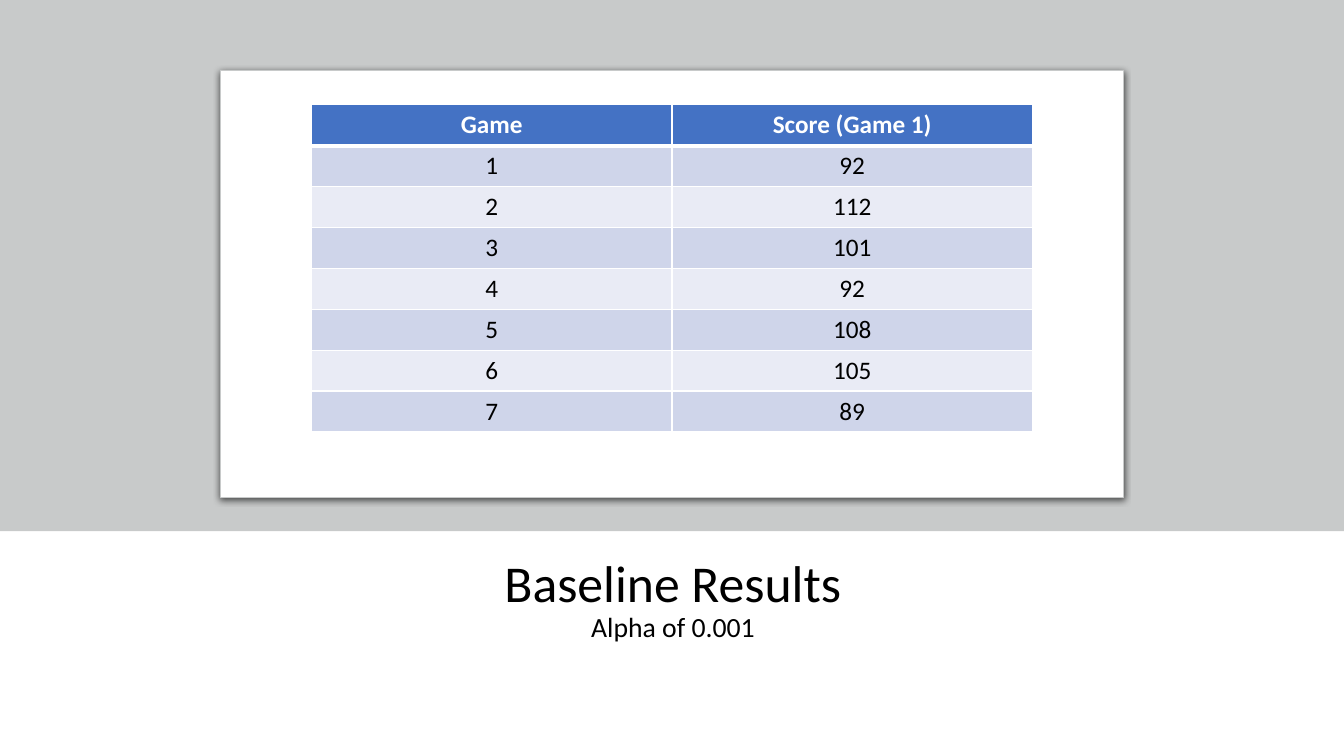
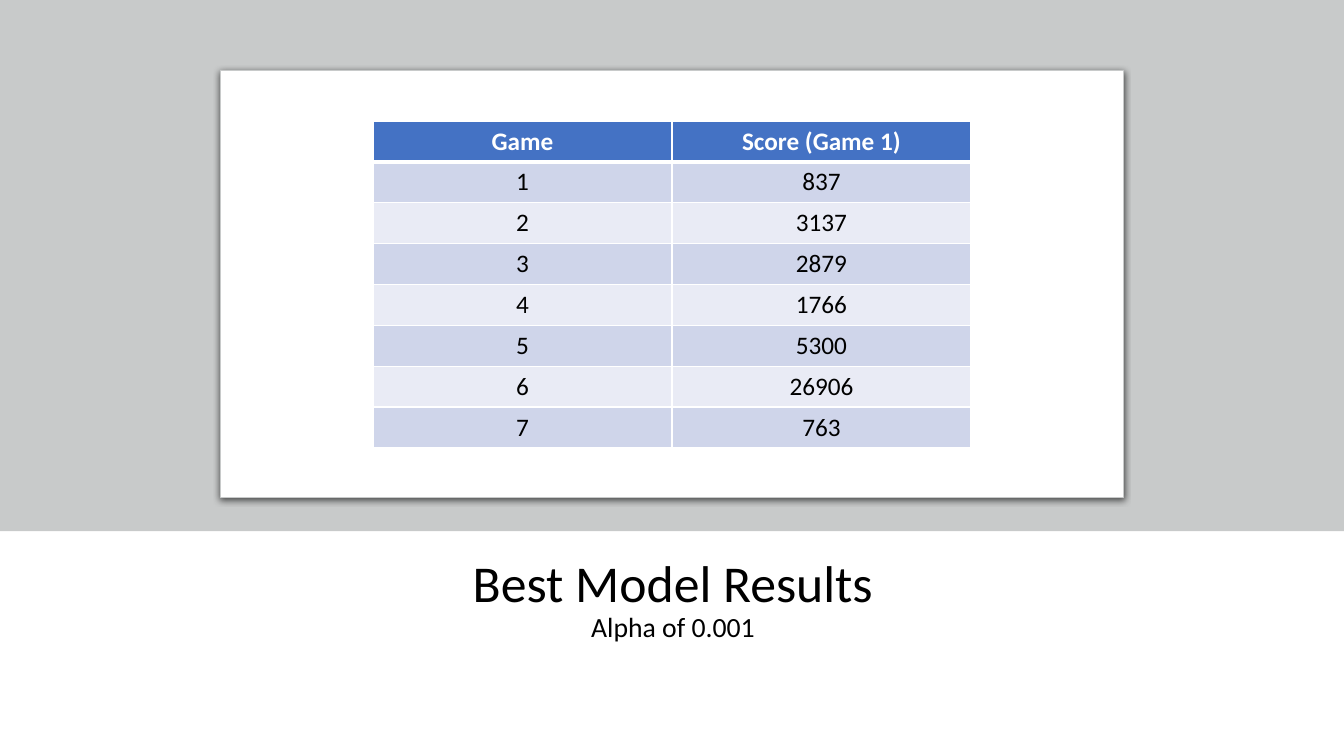
import copy

import pptx
import pptx.dml.color
import pptx.enum.shapes
import pptx.enum.text
import pptx.oxml
import pptx.oxml.ns
import pptx.util

Inches = pptx.util.Inches
Pt = pptx.util.Pt
RGBColor = pptx.dml.color.RGBColor
Shape = pptx.enum.shapes.MSO_SHAPE
Align = pptx.enum.text.PP_ALIGN
qn = pptx.oxml.ns.qn

# Shared look
WHITE = RGBColor(0xFF, 0xFF, 0xFF)
BLACK = RGBColor(0x00, 0x00, 0x00)
GREY = RGBColor(0xC8, 0xCA, 0xCA)
BLUE = RGBColor(0x44, 0x72, 0xC4)
BANDS = (RGBColor(0xE9, 0xEB, 0xF5), RGBColor(0xCF, 0xD5, 0xEA))
FONT = "Calibri"
WIDE, HIGH = 13.33, 7.5
ROW = 0.4
NS = 'xmlns:a="http://schemas.openxmlformats.org/drawingml/2006/main"'

# Content: title, table top, table width, scores
SLIDES = (
    ("Baseline Results", 1.04, 7.15, (92, 112, 101, 92, 108, 105, 89)),
    ("Best Model Results", 1.2, 5.93,
     (837, 3137, 2879, 1766, 5300, 26906, 763)),
)
HEADS = ("Game", "Score (Game 1)")
NOTE = "Alpha of 0.001"


def write(para, text, size=18, color=BLACK, bold=False):
    """Add a centred run of formatted text."""
    para.alignment = Align.CENTER
    run = para.add_run()
    run.text = text
    font = run.font
    font.name, font.size, font.bold = FONT, Pt(size), bold
    font.color.rgb = color
    return run


def add_title(slide, text):
    title = slide.shapes.title
    title.left, title.top = Inches(0.71), Inches(5.59)
    title.width, title.height = Inches(11.93), Inches(0.73)
    frame = title.text_frame
    frame.word_wrap = True
    frame.auto_size = pptx.enum.text.MSO_AUTO_SIZE.NONE
    frame.vertical_anchor = pptx.enum.text.MSO_ANCHOR.MIDDLE
    para = frame.paragraphs[0]
    para.line_spacing = 0.9
    run = write(para, text, size=36.9)
    para.add_line_break()
    # The break takes the size of the line it ends
    para._p.find(qn("a:br")).append(copy.deepcopy(run._r.rPr))
    write(para, NOTE, size=19.8)


def add_box(slide, kind, left, top, width, height, fill):
    box = slide.shapes.add_shape(
        kind, Inches(left), Inches(top), Inches(width), Inches(height))
    box.shadow.inherit = False
    box.fill.solid()
    box.fill.fore_color.rgb = fill
    box.line.fill.background()
    return box


def add_card(slide):
    card = add_box(slide, Shape.ROUNDED_RECTANGLE,
                   2.19, 0.7, 8.95, 4.24, WHITE)
    card.adjustments[0] = 0
    card.line.color.rgb = GREY
    card.line.width = Pt(0.75)
    shade = pptx.oxml.parse_xml(
        f'<a:outerShdw {NS} blurRad="{Pt(4.5)}" dist="{Pt(1.5)}" '
        'dir="5400000" algn="t" rotWithShape="0"><a:srgbClr val="000000">'
        '<a:alpha val="63000"/></a:srgbClr></a:outerShdw>')
    card._element.spPr.find(qn("a:effectLst")).append(shade)


def add_edges(cell, **sides):
    """Draw white borders, one width in points for each side."""
    props = cell._tc.get_or_add_tcPr()
    for spot, (side, width) in enumerate(sides.items()):
        props.insert(spot, pptx.oxml.parse_xml(
            f'<a:ln{side} {NS} w="{Pt(width)}"><a:solidFill>'
            f'<a:srgbClr val="{WHITE}"/></a:solidFill></a:ln{side}>'))


def add_scores(slide, top, width, scores):
    rows = [HEADS, *enumerate(scores, 1)]
    table = slide.shapes.add_table(
        len(rows), len(HEADS), Inches((WIDE - width) / 2), Inches(top),
        Inches(width), Inches(ROW * len(rows))).table
    for r, row in enumerate(rows):
        head = r == 0
        for c, value in enumerate(row):
            cell = table.cell(r, c)
            cell.fill.solid()
            cell.fill.fore_color.rgb = BLUE if head else BANDS[r % 2]
            add_edges(cell, L=1, R=1, T=3 if r == 1 else 1,
                      B=3 if head else 1)
            write(cell.text_frame.paragraphs[0], str(value),
                  color=WHITE if head else BLACK, bold=head)


def main():
    deck = pptx.Presentation()
    deck.slide_width, deck.slide_height = Inches(WIDE), Inches(HIGH)
    for title, top, width, scores in SLIDES:
        slide = deck.slides.add_slide(deck.slide_layouts[5])
        add_title(slide, title)
        add_box(slide, Shape.RECTANGLE, 0, 0, WIDE, 5.27, GREY)
        add_card(slide)
        add_scores(slide, top, width, scores)
    deck.save("out.pptx")


if __name__ == "__main__":
    main()
